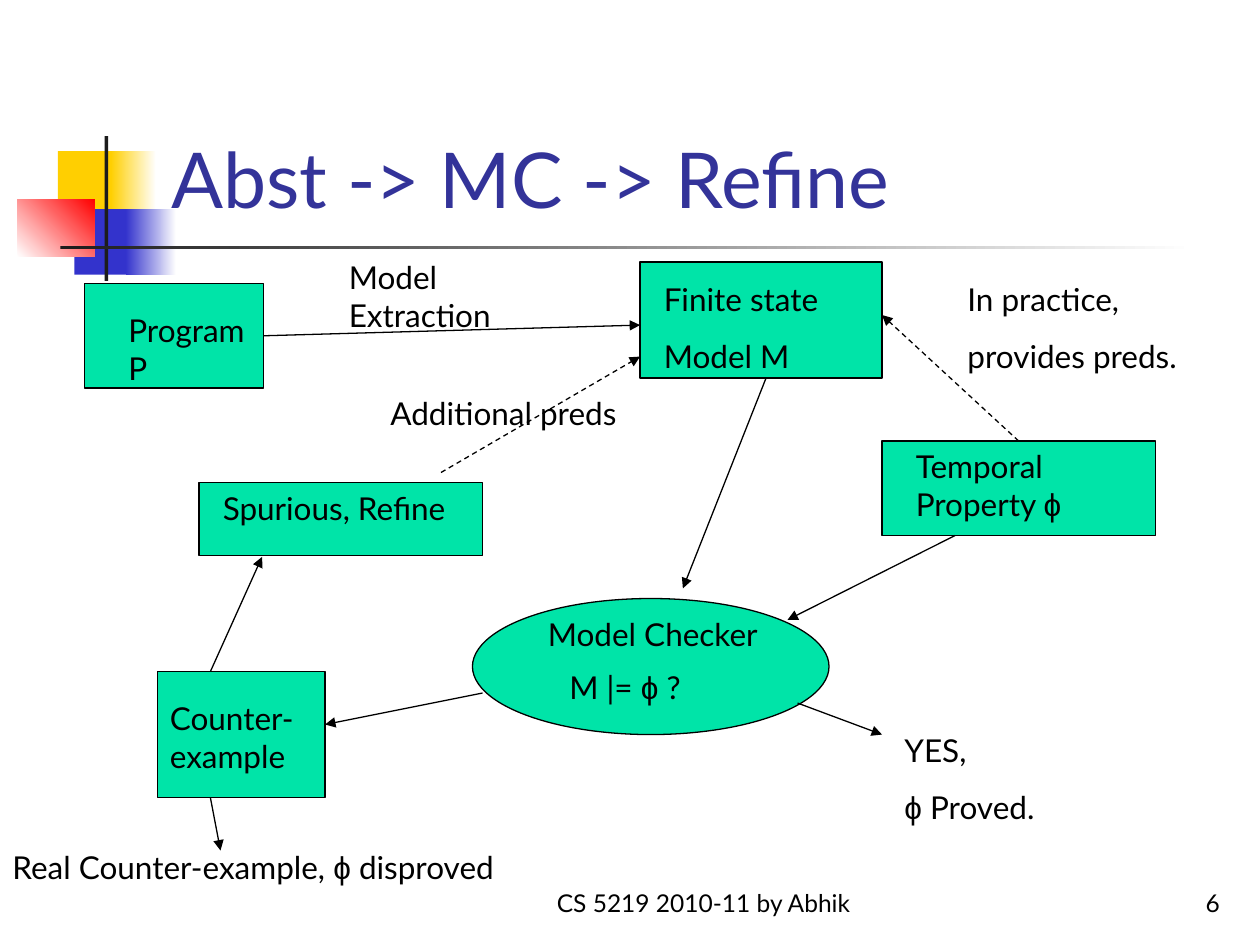
from dataclasses import dataclass

from lxml import etree
from pptx import Presentation
from pptx.dml.color import RGBColor
from pptx.enum.dml import MSO_LINE
from pptx.enum.shapes import MSO_CONNECTOR, MSO_SHAPE
from pptx.enum.text import MSO_ANCHOR, MSO_AUTO_SIZE, PP_ALIGN
from pptx.oxml.ns import qn
from pptx.util import Inches, Pt

RECTANGLE, ELLIPSE = MSO_SHAPE.RECTANGLE, MSO_SHAPE.OVAL
STRAIGHT = MSO_CONNECTOR.STRAIGHT
DASH = MSO_LINE.DASH
TOP, BOTTOM = MSO_ANCHOR.TOP, MSO_ANCHOR.BOTTOM
LEFT, CENTER, RIGHT = PP_ALIGN.LEFT, PP_ALIGN.CENTER, PP_ALIGN.RIGHT
NO_AUTOFIT = MSO_AUTO_SIZE.NONE
TOP_SIDE, RIGHT_SIDE = 0, 3
PHI = "ϕ"


@dataclass(frozen=True)
class Theme:
    font: str = "Lato"
    symbol_font: str = "Arial"
    title_size: float = 44
    label_size: float = 18
    footer_size: float = 14
    paragraph_gap: float = 11.2
    line_width: float = 0.75
    title: str = "333399"
    text: str = "000000"
    node: str = "00E4A8"
    yellow: str = "FFCF01"
    blue: str = "3333CC"
    red: str = "FF0000"
    bar: str = "1C1C1C"
    white: str = "FFFFFF"


THEME = Theme()


def color(value):
    return RGBColor.from_string(value)


def inches(box):
    return [Inches(value) for value in box]


def style_paragraph(paragraph, size, text_color, alignment=LEFT):
    paragraph.alignment = alignment
    paragraph.font.name = THEME.font
    paragraph.font.size = Pt(size)
    paragraph.font.color.rgb = color(text_color)


def add_label(slide, box, *lines, size=THEME.label_size, alignment=LEFT, anchor=TOP):
    """Add one paragraph per line, with the phi symbol in its own font."""
    frame = slide.shapes.add_textbox(*inches(box)).text_frame
    frame.word_wrap = True
    frame.vertical_anchor = anchor
    for index, line in enumerate(lines):
        paragraph = frame.paragraphs[0] if index == 0 else frame.add_paragraph()
        if index:
            paragraph.space_before = Pt(THEME.paragraph_gap)
        style_paragraph(paragraph, size, THEME.text, alignment)
        for part in line.partition(PHI):
            if part:
                run = paragraph.add_run()
                run.text = part
                if part == PHI:
                    run.font.name = THEME.symbol_font


def add_node(slide, box, kind=RECTANGLE):
    node = slide.shapes.add_shape(kind, *inches(box))
    node.shadow.inherit = False
    node.fill.solid()
    node.fill.fore_color.rgb = color(THEME.node)
    node.line.color.rgb = color(THEME.text)
    node.line.width = Pt(THEME.line_width)
    return node


def add_arrow(slide, start, end, dashed=False):
    arrow = slide.shapes.add_connector(STRAIGHT, *inches(start + end))
    arrow.line.color.rgb = color(THEME.text)
    arrow.line.width = Pt(THEME.line_width)
    if dashed:
        arrow.line.dash_style = DASH
    etree.SubElement(arrow.line._get_or_add_ln(), qn("a:tailEnd"), type="triangle")
    etree.SubElement(arrow.element.spPr, qn("a:effectLst"))
    return arrow


def add_block(slide, box, first, last=None, angle=0):
    """Add a borderless block, shaded from first to last when last is given."""
    block = slide.shapes.add_shape(RECTANGLE, *inches(box))
    block.shadow.inherit = False
    block.line.fill.background()
    if last is None:
        block.fill.solid()
        block.fill.fore_color.rgb = color(first)
        return
    block.fill.gradient()
    block.fill.gradient_angle = angle
    for stop, value in zip(block.fill.gradient_stops, (first, last)):
        stop.color.rgb = color(value)


def add_ornament(slide, left, top):
    blocks = [
        ((0.32, 0.12, 0.48, 0.52), THEME.yellow),
        ((0.74, 0.12, 0.36, 0.52), THEME.yellow, THEME.white),
        ((0.45, 0.58, 0.46, 0.52), THEME.blue),
        ((0.86, 0.58, 0.4, 0.52), THEME.blue, THEME.white),
        ((0, 0.5, 0.61, 0.46), THEME.white, THEME.red, 45),
        ((0.69, 0, 0.03, 1.15), THEME.bar),
        ((0.34, 0.87, 9, 0.03), THEME.bar, THEME.white),
    ]
    for (x, y, width, height), *shading in blocks:
        add_block(slide, (left + x, top + y, width, height), *shading)


def place_title(slide, box, text):
    title = slide.shapes.title
    slide.shapes[-1].element.addnext(title.element)  # in front of the ornament
    title.left, title.top, title.width, title.height = inches(box)
    frame = title.text_frame
    frame.text = text
    frame.word_wrap = True
    frame.auto_size = NO_AUTOFIT
    frame.vertical_anchor = BOTTOM
    style_paragraph(frame.paragraphs[0], THEME.title_size, THEME.title)


def add_footer(slide, top, height):
    for left, width, text, alignment in [
        (4, 3.17, "CS 5219 2010-11 by Abhik", CENTER),
        (7.7, 2.08, "6", RIGHT),
    ]:
        add_label(slide, (left, top, width, height), text,
                  size=THEME.footer_size, alignment=alignment, anchor=BOTTOM)


def add_refinement_loop(slide, left, top):
    def place(x, y, *size):
        return (left + x, top + y, *size)

    program = add_node(slide, place(0.67, 0.25, 1.42, 0.83))
    temporal_property = add_node(slide, place(7, 1.5, 2.17, 0.75))
    for box in [
        (5.08, 0.08, 1.92, 0.92),  # finite state model
        (1.58, 1.83, 2.25, 0.58),  # refinement
        (1.25, 3.33, 1.33, 1),  # counter-example
    ]:
        add_node(slide, place(*box))
    add_node(slide, place(3.75, 2.75, 2.83, 1.08), ELLIPSE)

    extraction = add_arrow(slide, place(2.09, 0.67), place(5.08, 0.58))
    extraction.begin_connect(program, RIGHT_SIDE)
    practice = add_arrow(slide, place(8.08, 1.5), place(7, 0.5), dashed=True)
    practice.begin_connect(temporal_property, TOP_SIDE)
    for start, end, dashed in [
        ((6.08, 1), (5.42, 2.67), False),  # model to checker
        ((7.58, 2.25), (6.25, 2.92), False),  # property to checker
        ((3.83, 3.5), (2.58, 3.75), False),  # checker to counter-example
        ((6.33, 3.58), (7, 3.83), False),  # checker to proved
        ((1.67, 3.33), (2.08, 2.42), False),  # counter-example to refinement
        ((1.67, 4.33), (1.75, 4.75), False),  # counter-example to disproved
        ((3.5, 1.75), (5.08, 0.83), True),  # refinement to model
    ]:
        add_arrow(slide, place(*start), place(*end), dashed)

    for box, *lines in [
        ((0.92, 0.42, 1.25, 0.7), "Program P"),
        ((2.67, 0, 1.92, 0.7), "Model Extraction"),
        ((5.17, 0.17, 1.83, 0.86), "Finite state", "Model M"),
        ((7.58, 0.17, 2, 1.16), "In practice,", "provides preds."),
        ((3, 1.08, 2.33, 0.4), "Additional preds"),
        ((7.17, 1.5, 2.17, 0.7), "Temporal Property ϕ"),
        ((1.67, 1.83, 2.25, 0.4), "Spurious, Refine"),
        ((4.25, 2.83, 2, 0.4), "Model Checker"),
        ((4.42, 3.25, 1.83, 0.4), "M |= ϕ ?"),
        ((1.25, 3.5, 1.83, 0.7), "Counter-example"),
        ((7.08, 3.75, 2.17, 0.86), "YES,", "ϕ Proved."),
        ((0, 4.68, 4.5, 0.4), "Real Counter-example, ϕ disproved"),
    ]:
        add_label(slide, place(*box), *lines)


def main():
    presentation = Presentation()
    presentation.slide_width, presentation.slide_height = Inches(10), Inches(7.5)
    slide = presentation.slides.add_slide(presentation.slide_layouts[5])
    add_ornament(slide, 0.14, 1.08)
    place_title(slide, (1.26, 0.23, 8.52, 1.6), "Abst -> MC -> Refine")
    add_footer(slide, 6.83, 0.5)
    add_refinement_loop(slide, 0, 2)
    presentation.save("out.pptx")


if __name__ == "__main__":
    main()
